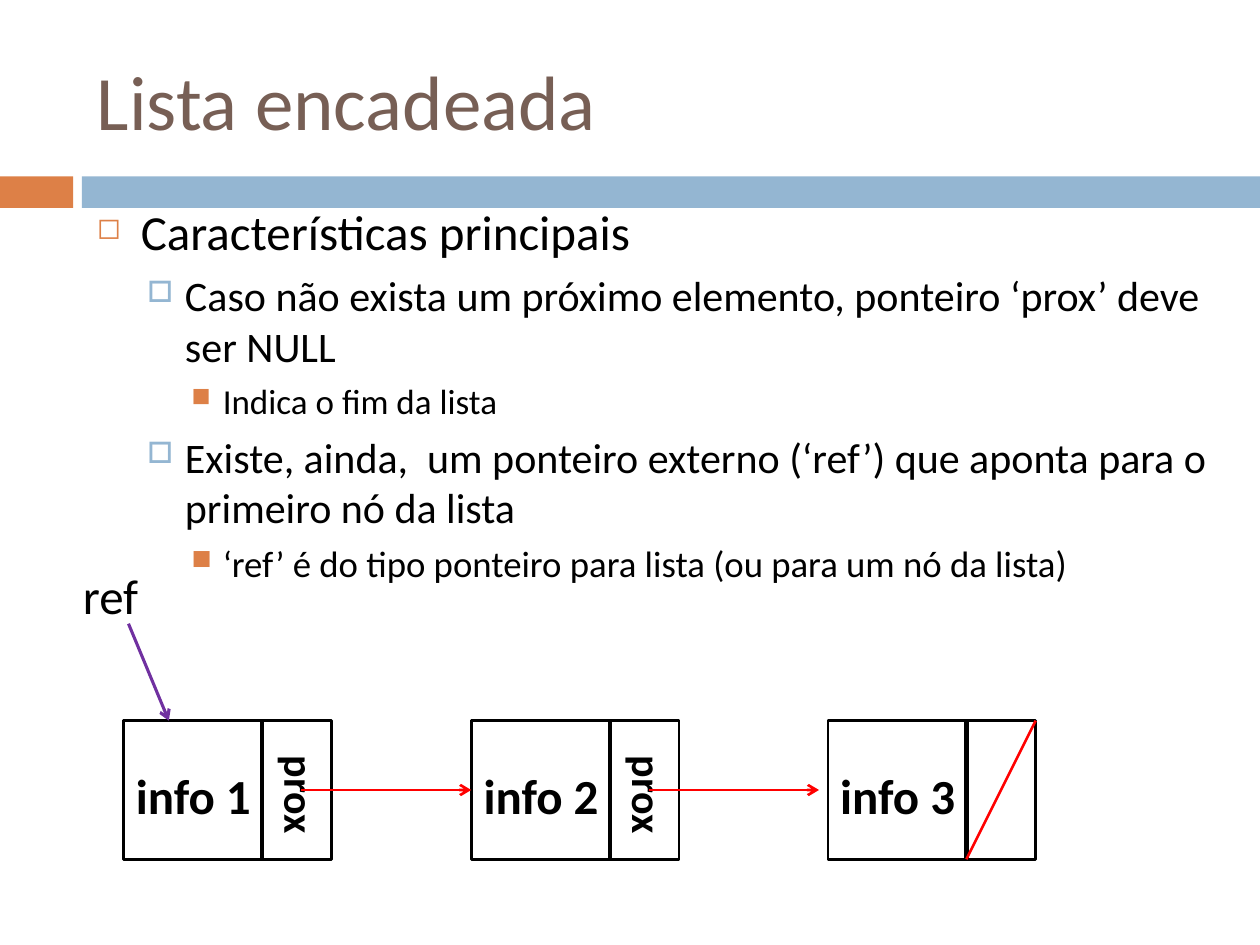
from lxml.etree import SubElement
from pptx import Presentation
from pptx.dml.color import RGBColor
from pptx.enum.shapes import MSO_CONNECTOR, MSO_SHAPE
from pptx.enum.text import MSO_ANCHOR, MSO_AUTO_SIZE
from pptx.oxml.ns import qn
from pptx.util import Inches, Pt

BLACK = RGBColor(0x00, 0x00, 0x00)
BROWN = RGBColor(0x77, 0x5F, 0x55)
ORANGE = RGBColor(0xDD, 0x80, 0x47)
BLUE = RGBColor(0x94, 0xB6, 0xD2)
RED = RGBColor(0xFF, 0x00, 0x00)
PURPLE = RGBColor(0x70, 0x30, 0xA0)

LEVELS = [
    {"left": 0.35, "hanging": 0.35, "before": 7, "bullet": "◻", "color": ORANGE, "percent": 60},
    {"left": 0.7, "hanging": 0.3, "before": 5.5, "bullet": "□", "color": BLUE, "percent": 70},
    {"left": 1, "hanging": 0.25, "before": 5, "bullet": "■", "color": ORANGE, "percent": 75},
]
BODY = [
    (0, 28, "Características principais"),
    (1, 24, "Caso não exista um próximo elemento, ponteiro ‘prox’ deve ser NULL"),
    (2, 20, "Indica o fim da lista"),
    (1, 24, "Existe, ainda,  um ponteiro externo (‘ref’) que aponta para o primeiro nó da lista"),
    (2, 21, "‘ref’ é do tipo ponteiro para lista (ou para um nó da lista)"),
]
NODE_TOP, NODE_WIDTH, NODE_HEIGHT = 5.72, 1.65, 1.1
INFO_WIDTH = 1.1
NODE_MIDDLE = NODE_TOP + NODE_HEIGHT / 2
NODE_LEFTS = [0.98, 3.74, 6.57]


def add_text_box(slide, box, wrap=True):
    shape = slide.shapes.add_textbox(*map(Inches, box))
    shape.text_frame.word_wrap = wrap
    return shape


def write(paragraph, text, size, color=BLACK, bold=False):
    run = paragraph.add_run()
    run.text = text
    values = {"name": "Calibri", "size": Pt(size), "bold": bold}
    for name, value in values.items():
        setattr(run.font, name, value)
    run.font.color.rgb = color


def add_label(slide, box, text, size, bold=True, wrap=True, rotation=0):
    shape = add_text_box(slide, box, wrap)
    shape.text_frame.auto_size = MSO_AUTO_SIZE.SHAPE_TO_FIT_TEXT
    shape.rotation = rotation
    write(shape.text_frame.paragraphs[0], text, size, bold=bold)


def add_line(slide, start, end, color, width, arrow=False):
    connector = slide.shapes.add_connector(
        MSO_CONNECTOR.STRAIGHT, *map(Inches, (*start, *end)))
    connector.line.color.rgb = color
    connector.line.width = Pt(width)
    if arrow:
        SubElement(connector.line._get_or_add_ln(), qn("a:tailEnd"), type="arrow")
    SubElement(connector._element.spPr, qn("a:effectLst"))
    return connector


def add_rectangle(slide, box):
    shape = slide.shapes.add_shape(MSO_SHAPE.RECTANGLE, *map(Inches, box))
    shape.shadow.inherit = False
    return shape


def add_band(slide, box, color):
    shape = add_rectangle(slide, box)
    shape.fill.solid()
    shape.fill.fore_color.rgb = color
    shape.line.fill.background()


def add_title(slide, box):
    frame = add_text_box(slide, box).text_frame
    frame.vertical_anchor = MSO_ANCHOR.MIDDLE
    write(frame.paragraphs[0], "Lista encadeada", 44, BROWN)


def format_bullet(paragraph, level):
    style = LEVELS[level]
    paragraph.level = level
    paragraph.space_before = Pt(style["before"])
    properties = paragraph._p.get_or_add_pPr()
    properties.set("marL", str(Inches(style["left"])))
    properties.set("indent", str(-Inches(style["hanging"])))
    color = SubElement(properties, qn("a:buClr"))
    SubElement(color, qn("a:srgbClr"), val=str(style["color"]))
    SubElement(properties, qn("a:buSzPct"), val=str(style["percent"] * 1000))
    SubElement(properties, qn("a:buChar"), char=style["bullet"])


def add_body(slide, box):
    frame = add_text_box(slide, box).text_frame
    for index, (level, size, text) in enumerate(BODY):
        paragraph = frame.add_paragraph() if index else frame.paragraphs[0]
        format_bullet(paragraph, level)
        write(paragraph, text, size)


def add_node(slide, box, number, is_last):
    left, top, width, height = box
    divider, bottom = left + INFO_WIDTH, top + height
    shape = add_rectangle(slide, box)
    shape.fill.background()
    shape.line.color.rgb = BLACK
    shape.line.width = Pt(1.5)
    add_line(slide, (divider, top), (divider, bottom), BLACK, 2.5)
    add_label(slide, (left, top + 0.31, 1.4, 0.57), f"info {number}", 28)
    if is_last:
        add_line(slide, (divider, bottom), (left + width, top), RED, 1.5)
    else:
        add_label(slide, (left + 0.99, top + 0.35, 0.84, 0.5), "prox", 24, rotation=90)
    return shape


def add_linked_list(slide):
    nodes = [
        add_node(slide, (left, NODE_TOP, NODE_WIDTH, NODE_HEIGHT), number,
                 number == len(NODE_LEFTS))
        for number, left in enumerate(NODE_LEFTS, 1)
    ]
    arrows = [
        add_line(slide, (left + 1.41, NODE_MIDDLE), (end, NODE_MIDDLE), RED, 1.5, True)
        for left, end in zip(NODE_LEFTS, (NODE_LEFTS[1], 6.5))
    ]
    arrows[0].end_connect(nodes[1], 1)
    add_label(slide, (0.56, 4.44, 0.66, 0.57), "ref", 28, bold=False, wrap=False)
    add_line(slide, (1.02, 4.95), (1.34, NODE_TOP), PURPLE, 1.75, True)


def main():
    presentation = Presentation()
    presentation.slide_width = Inches(10)
    presentation.slide_height = Inches(7.5)
    slide = presentation.slides.add_slide(presentation.slide_layouts[6])
    add_band(slide, (0, 1.4, 0.58, 0.25), ORANGE)
    add_band(slide, (0.65, 1.4, 9.35, 0.25), BLUE)
    add_title(slide, (0.67, 0.25, 8.92, 1.08))
    add_body(slide, (0.67, 1.55, 9.33, 5.12))
    add_linked_list(slide)
    presentation.save("out.pptx")


if __name__ == "__main__":
    main()
